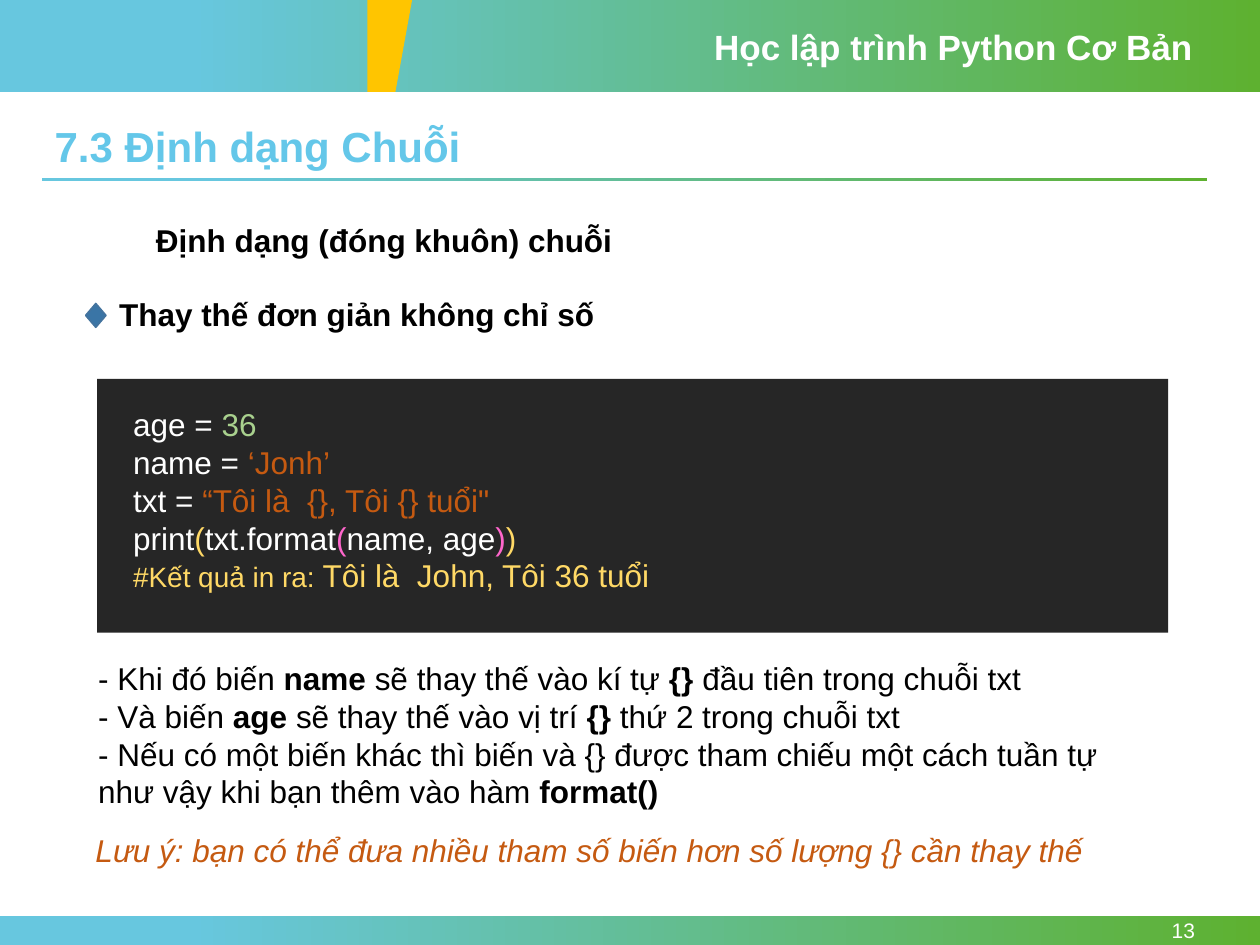
from dataclasses import dataclass
from typing import NamedTuple

from pptx import Presentation
from pptx.dml.color import RGBColor
from pptx.enum.shapes import MSO_SHAPE
from pptx.enum.text import MSO_ANCHOR, MSO_AUTO_SIZE, PP_ALIGN
from pptx.util import Pt

WHITE = RGBColor(0xFF, 0xFF, 0xFF)
BLACK = RGBColor(0, 0, 0)
SKY = RGBColor(0x67, 0xC7, 0xDF)
GREEN = RGBColor(0x5E, 0xB1, 0x30)
AMBER = RGBColor(0xFF, 0xC5, 0x00)
TITLE_BLUE = RGBColor(0x64, 0xC7, 0xE9)
DIAMOND_FILL = RGBColor(0x3A, 0x75, 0xA6)
DIAMOND_LINE = RGBColor(0x43, 0x73, 0x9E)
CODE_BACK = RGBColor(0x26, 0x26, 0x26)
NUMBER_GREEN = RGBColor(0xA9, 0xD1, 0x8E)
RUST = RGBColor(0xC5, 0x5A, 0x11)
YELLOW = RGBColor(0xFF, 0xD9, 0x66)
PINK = RGBColor(0xFF, 0x66, 0xCC)

FONT = "Arial"
SLIDE_WIDTH, SLIDE_HEIGHT = 720, 540
HEADER_HEIGHT, FOOTER_HEIGHT = 52.5, 16.5
MARGIN, CONTENT_WIDTH = 24, 666


class Area(NamedTuple):
    left: float
    top: float
    width: float
    height: float


class Span(NamedTuple):
    text: str
    color: RGBColor = BLACK
    size: float = 18
    bold: bool = False
    italic: bool = False


@dataclass
class TextBlock:
    area: Area
    lines: list[list[Span]]
    align: PP_ALIGN = PP_ALIGN.LEFT
    anchor: MSO_ANCHOR = MSO_ANCHOR.TOP


def place(shape, area: Area) -> None:
    shape.left, shape.top, shape.width, shape.height = (Pt(v) for v in area)


def write(box, block: TextBlock) -> None:
    frame = box.text_frame
    frame.word_wrap = True
    frame.auto_size = MSO_AUTO_SIZE.NONE
    frame.vertical_anchor = block.anchor
    for index, spans in enumerate(block.lines):
        para = frame.add_paragraph() if index else frame.paragraphs[0]
        para.alignment = block.align
        for span in spans:
            run = para.add_run()
            run.text = span.text
            font = run.font
            font.name, font.size = FONT, Pt(span.size)
            font.bold, font.italic = span.bold, span.italic
            font.color.rgb = span.color


def add_text(page, block: TextBlock) -> None:
    write(page.shapes.add_textbox(*(Pt(v) for v in block.area)), block)


def add_solid(page, kind: MSO_SHAPE, area: Area, color: RGBColor):
    shape = page.shapes.add_shape(kind, *(Pt(v) for v in area))
    shape.shadow.inherit = False
    shape.fill.solid()
    shape.fill.fore_color.rgb = color
    shape.line.fill.background()
    return shape


def add_gradient_band(page, area: Area) -> None:
    fill = add_solid(page, MSO_SHAPE.RECTANGLE, area, SKY).fill
    fill.gradient()
    fill.gradient_angle = 0
    stops = ((0.15, SKY), (1, GREEN))
    for stop, (position, color) in zip(fill.gradient_stops, stops):
        stop.position = position
        stop.color.rgb = color


def add_header_wedge(page) -> None:
    builder = page.shapes.build_freeform(Pt(210), 0)
    corners = [(235.5, 0), (226, HEADER_HEIGHT), (210, HEADER_HEIGHT)]
    builder.add_line_segments([(Pt(x), Pt(y)) for x, y in corners], close=True)
    wedge = builder.convert_to_shape()
    wedge.shadow.inherit = False
    wedge.fill.solid()
    wedge.fill.fore_color.rgb = AMBER
    wedge.line.fill.background()


FOOTER_TOP = SLIDE_HEIGHT - FOOTER_HEIGHT
BANDS = [
    Area(0, 0, SLIDE_WIDTH, HEADER_HEIGHT),
    Area(0, FOOTER_TOP, SLIDE_WIDTH, FOOTER_HEIGHT),
    Area(MARGIN, 101.5, CONTENT_WIDTH, 2),
]
TITLE = TextBlock(
    Area(MARGIN, 67, CONTENT_WIDTH, 33),
    [[Span("7.3 Định dạng Chuỗi", TITLE_BLUE, 24, bold=True)]],
    anchor=MSO_ANCHOR.MIDDLE,
)
CODE = [
    [Span("age = ", WHITE), Span("36", NUMBER_GREEN)],
    [Span("name = ", WHITE), Span("‘Jonh’", RUST)],
    [Span("txt = ", WHITE), Span("“Tôi là  {}, Tôi {} tuổi\"", RUST)],
    [
        Span("print", WHITE), Span("(", YELLOW), Span("txt.format", WHITE),
        Span("(", PINK), Span("name, age", WHITE), Span(")", PINK),
        Span(")", YELLOW),
    ],
    [
        Span("#Kết quả in ra: ", YELLOW, 16),
        Span("Tôi là  John, Tôi 36 tuổi", YELLOW),
    ],
]
EXPLANATION = [
    [
        Span("- Khi đó biến "), Span("name ", bold=True),
        Span("sẽ thay thế vào kí tự "), Span("{} ", bold=True),
        Span("đầu tiên trong chuỗi txt"),
    ],
    [
        Span("- Và biến "), Span("age ", bold=True),
        Span("sẽ thay thế vào vị trí "), Span("{} ", bold=True),
        Span("thứ 2 trong chuỗi txt"),
    ],
    [
        Span("- Nếu có một biến khác thì biến và {} được tham chiếu một cách "
             "tuần tự như vậy khi bạn thêm vào hàm "),
        Span("format()", bold=True),
    ],
]
NOTE = "Lưu ý: bạn có thể đưa nhiều tham số biến hơn số lượng {} cần thay thế"
TEXT_BLOCKS = [
    TextBlock(Area(401, 11, 288, 32),
              [[Span("Học lập trình Python Cơ Bản", WHITE, 20, bold=True)]]),
    TextBlock(Area(623.5, FOOTER_TOP, 66.5, FOOTER_HEIGHT),
              [[Span("13", WHITE, 12)]], PP_ALIGN.RIGHT, MSO_ANCHOR.MIDDLE),
    TextBlock(Area(82, 122.5, 506, 29),
              [[Span("Định dạng (đóng khuôn) chuỗi", bold=True)]]),
    TextBlock(Area(61, 165, 617, 29),
              [[Span("Thay thế đơn giản không chỉ số", bold=True)]]),
    TextBlock(Area(69, 228, 583, 117), CODE),
    TextBlock(Area(49, 373, 617, 94), EXPLANATION),
    TextBlock(Area(47.5, 471.5, 617, 29), [[Span(NOTE, RUST, italic=True)]]),
]


def main() -> None:
    deck = Presentation()
    deck.slide_width, deck.slide_height = Pt(SLIDE_WIDTH), Pt(SLIDE_HEIGHT)
    page = deck.slides.add_slide(deck.slide_layouts[5])

    place(page.shapes.title, TITLE.area)
    write(page.shapes.title, TITLE)
    for area in BANDS:
        add_gradient_band(page, area)
    add_header_wedge(page)

    add_solid(page, MSO_SHAPE.RECTANGLE, Area(55.5, 216.5, 612, 145), CODE_BACK)
    diamond = add_solid(page, MSO_SHAPE.FLOWCHART_DECISION,
                        Area(49, 173.5, 11.5, 13.5), DIAMOND_FILL)
    diamond.line.color.rgb = DIAMOND_LINE
    diamond.line.width = Pt(1)
    for block in TEXT_BLOCKS:
        add_text(page, block)

    deck.save("out.pptx")


if __name__ == "__main__":
    main()
